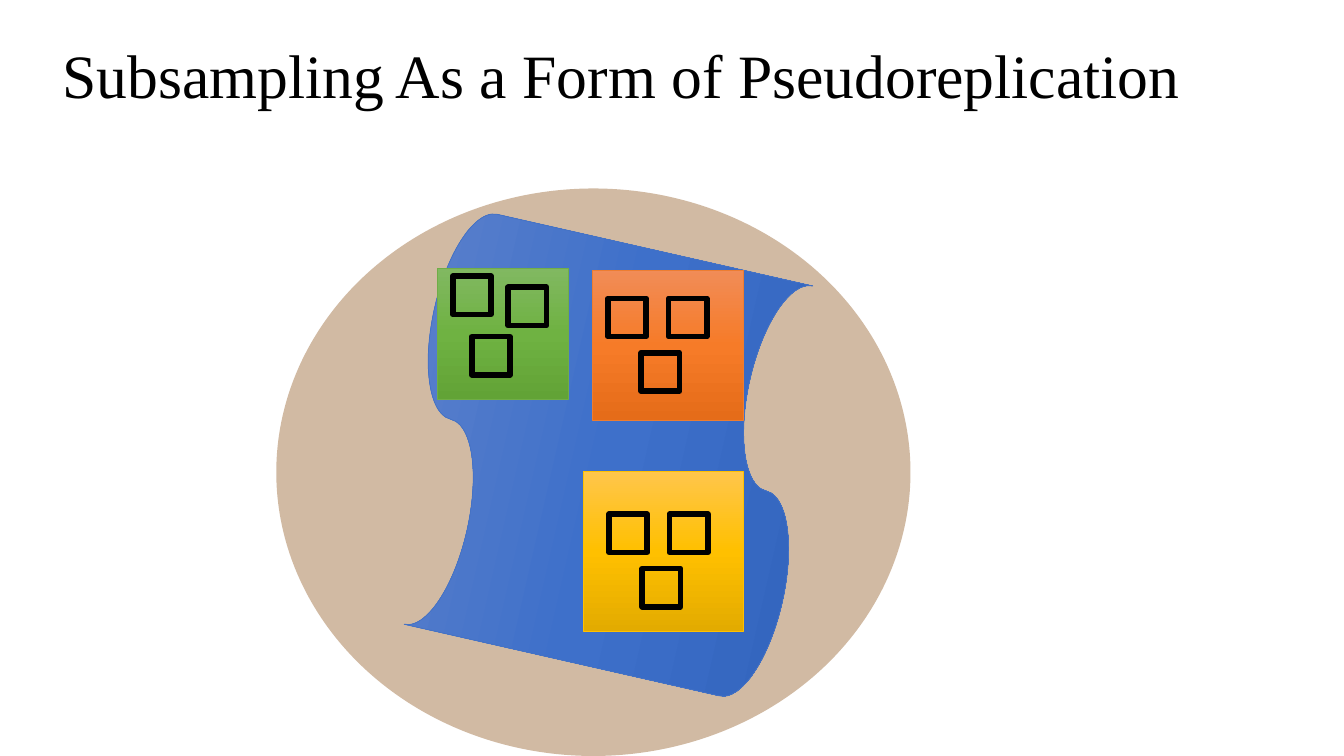
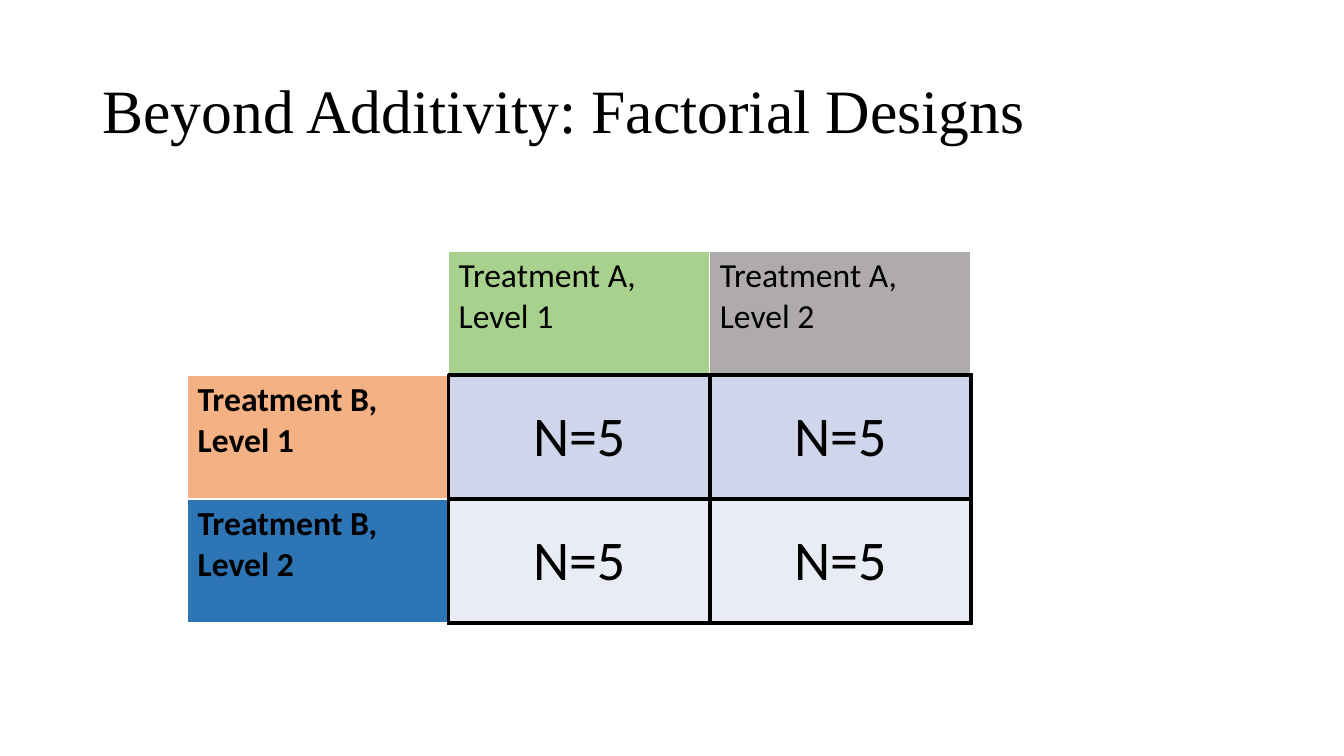
"""Build two slides on pseudoreplication and factorial designs."""
from copy import deepcopy

from lxml import etree
from pptx import Presentation
from pptx.dml.color import RGBColor
from pptx.enum import shapes, text
from pptx.oxml import ns
from pptx.util import Inches, Pt

BLACK = RGBColor(0x00, 0x00, 0x00)
WHITE = RGBColor(0xFF, 0xFF, 0xFF)
SOIL = RGBColor(0x99, 0x66, 0x33)
BLUE = RGBColor(0x44, 0x72, 0xC4)
GREEN = RGBColor(0x70, 0xAD, 0x47)
GOLD = RGBColor(0xFF, 0xC0, 0x00)
ORANGE = RGBColor(0xED, 0x7D, 0x31)
SHADES = {
    BLUE: ("6183CB", "3E70CA", "3062BB"),
    GREEN: ("81B861", "6FB242", "62A336"),
    GOLD: ("FFC64B", "FFC000", "E3AB00"),
    ORANGE: ("F18C57", "F67B28", "E56C19"),
}

TITLE_FONT = "Times New Roman"
BODY_FONT = "Calibri"
TITLE_SIZE = (11.5, 1.45)

SUBSAMPLE_SIDE = 0.38
TRIANGLE = [(0, 0), (0.6, 0), (0.33, 0.54)]
SCATTER = [(0, 0), (0.19, 0.6), (0.55, 0.11)]
PLOTS = [
    (GREEN, (4.34, 2.66), 1.3, (4.49, 2.74), SCATTER),
    (GOLD, (5.79, 4.68), 1.58, (6.04, 5.1), TRIANGLE),
    (ORANGE, (5.88, 2.68), 1.49, (6.03, 2.96), TRIANGLE),
]

DESIGN = [
    ["", "Treatment A, Level 1", "Treatment A, Level 2"],
    ["Treatment B, Level 1", "N=5", "N=5"],
    ["Treatment B, Level 2", "N=5", "N=5"],
]
DESIGN_FILLS = [
    ["FFFFFF", "A9D18E", "AFABAB"],
    ["F4B183", "CFD5EA", "CFD5EA"],
    ["2E75B6", "E9EBF5", "E9EBF5"],
]
COLUMN_WIDTH = 2.59
ROW_HEIGHT = 1.23


def add_page(deck, title, left, top):
    """Add a blank slide with the shared title style."""
    page = deck.slides.add_slide(deck.slide_layouts[6])
    box = page.shapes.add_textbox(*map(Inches, (left, top, *TITLE_SIZE)))
    frame = box.text_frame
    frame.word_wrap = True
    frame.vertical_anchor = text.MSO_ANCHOR.MIDDLE
    frame.text = title
    para = frame.paragraphs[0]
    para.line_spacing = 0.9
    style_font(para.runs[0].font, TITLE_FONT, 44)
    return page


def style_font(font, name, size, bold=False):
    """Set the face, size and weight of black text."""
    font.name, font.size, font.bold = name, Pt(size), bold
    font.color.rgb = BLACK


def add_figure(page, kind, left, top, width, height):
    """Add a preset shape without a shadow."""
    figure = page.shapes.add_shape(kind, *map(Inches, (left, top, width, height)))
    figure.shadow.inherit = False
    return figure


def set_line(figure, color, width):
    """Outline a shape."""
    figure.line.color.rgb = color
    figure.line.width = Pt(width)


def shade(figure, color):
    """Give a shape its three-step gradient and thin outline."""
    figure.fill.gradient()
    figure.fill.gradient_angle = 270
    stop_list = figure._element.spPr.find(".//" + ns.qn("a:gsLst"))
    stop_list.insert(1, deepcopy(stop_list[0]))
    for stop, tone, position in zip(figure.fill.gradient_stops, SHADES[color], (0, 0.5, 1)):
        stop.color.rgb = RGBColor.from_string(tone)
        stop.position = position
    set_line(figure, color, 0.5)


def add_soil(page):
    """Add the translucent oval behind the field."""
    soil = add_figure(page, shapes.MSO_SHAPE.OVAL, 2.74, 1.87, 6.29, 5.63)
    soil.fill.solid()
    soil.fill.fore_color.rgb = SOIL
    soil.line.fill.background()
    color = soil._element.spPr.find(ns.qn("a:solidFill"))[0]
    etree.SubElement(color, ns.qn("a:alpha"), val="45000")


def add_subsamples(page, origin, offsets):
    """Add the open squares of one plot."""
    for across, down in offsets:
        square = add_figure(page, shapes.MSO_SHAPE.RECTANGLE, origin[0] + across,
                            origin[1] + down, SUBSAMPLE_SIDE, SUBSAMPLE_SIDE)
        square.fill.background()
        set_line(square, BLACK, 4)


def set_borders(cell, row, column):
    """Draw black edges around the counts and white ones elsewhere."""
    is_count = row > 0 and column > 0
    black_edges = {
        "L": is_count,
        "R": row > 0,
        "T": is_count,
        "B": column > 0,
    }
    properties = cell._tc.get_or_add_tcPr()
    for index, (side, is_black) in enumerate(black_edges.items()):
        width, color = (3, BLACK) if is_black else (1, WHITE)
        edge = etree.Element(ns.qn(f"a:ln{side}"), w=str(Pt(width)))
        fill = etree.SubElement(edge, ns.qn("a:solidFill"))
        etree.SubElement(fill, ns.qn("a:srgbClr"), val=str(color))
        properties.insert(index, edge)


def fill_cell(cell, row, column):
    """Write and style one cell of the design."""
    cell.fill.solid()
    cell.fill.fore_color.rgb = RGBColor.from_string(DESIGN_FILLS[row][column])
    set_borders(cell, row, column)
    if not DESIGN[row][column]:
        return
    cell.text_frame.text = DESIGN[row][column]
    para = cell.text_frame.paragraphs[0]
    is_count = row > 0 and column > 0
    if is_count:
        cell.vertical_anchor = text.MSO_ANCHOR.MIDDLE
        para.alignment = text.PP_ALIGN.CENTER
    style_font(para.runs[0].font, BODY_FONT, 40 if is_count else 24, bold=column == 0)


def add_design_table(page):
    """Add the two-by-two factorial table."""
    rows, columns = len(DESIGN), len(DESIGN[0])
    size = (columns * COLUMN_WIDTH, rows * ROW_HEIGHT)
    table = page.shapes.add_table(rows, columns, *map(Inches, (1.86, 2.49, *size))).table
    table.first_row = table.horz_banding = False
    for row in range(rows):
        for column in range(columns):
            fill_cell(table.cell(row, column), row, column)


def add_subsampling_page(deck):
    """Build the field with its plots and subsamples."""
    page = add_page(deck, "Subsampling As a Form of Pseudoreplication", 0.52, 0.05)
    add_soil(page)
    field = add_figure(page, shapes.MSO_SHAPE.FLOWCHART_PUNCHED_TAPE, 3.95, 2.51, 4.17, 4.01)
    field.rotation = 282.8
    shade(field, BLUE)
    for color, corner, side, origin, offsets in PLOTS:
        plot = add_figure(page, shapes.MSO_SHAPE.RECTANGLE, *corner, side, side)
        shade(plot, color)
        add_subsamples(page, origin, offsets)


def add_factorial_page(deck):
    """Build the factorial design slide."""
    page = add_page(deck, "Beyond Additivity: Factorial Designs", 0.92, 0.4)
    add_design_table(page)


def main():
    """Build and save the deck."""
    deck = Presentation()
    deck.slide_width, deck.slide_height = Inches(13.33), Inches(7.5)
    add_subsampling_page(deck)
    add_factorial_page(deck)
    deck.save("out.pptx")


if __name__ == "__main__":
    main()
